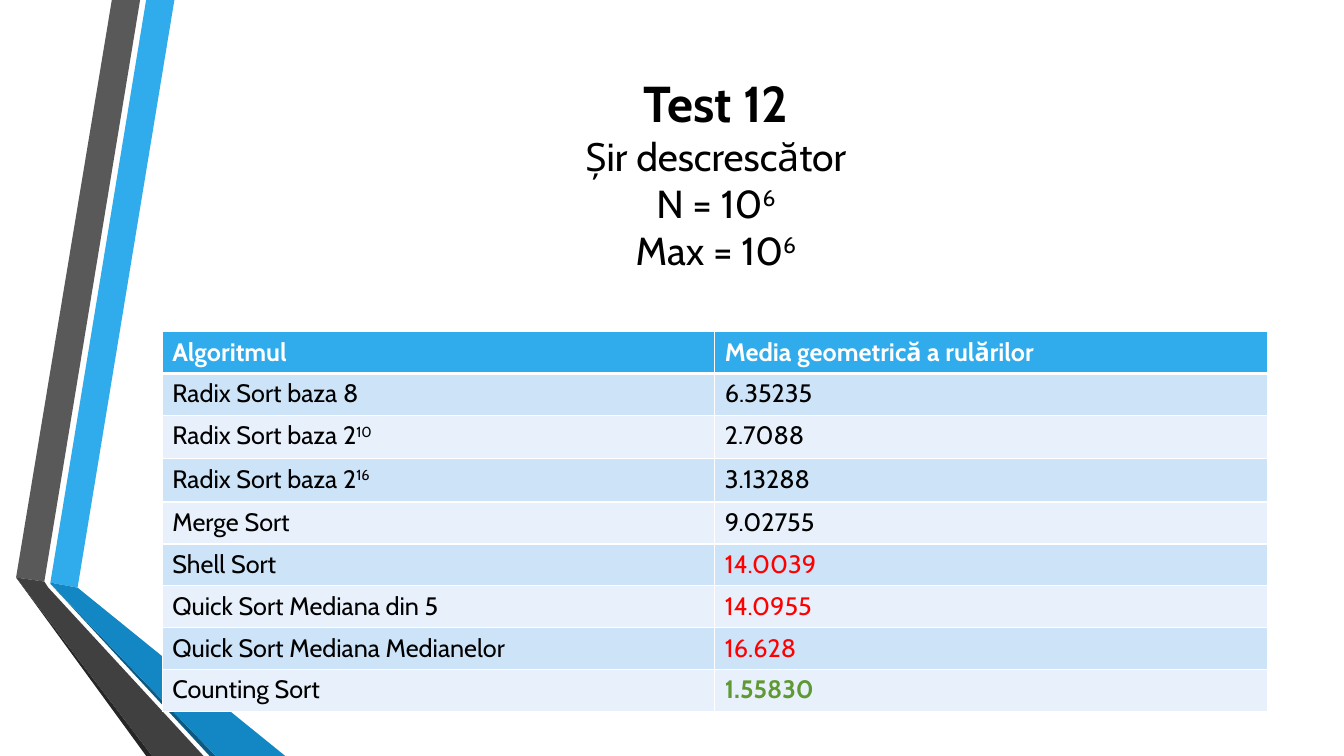
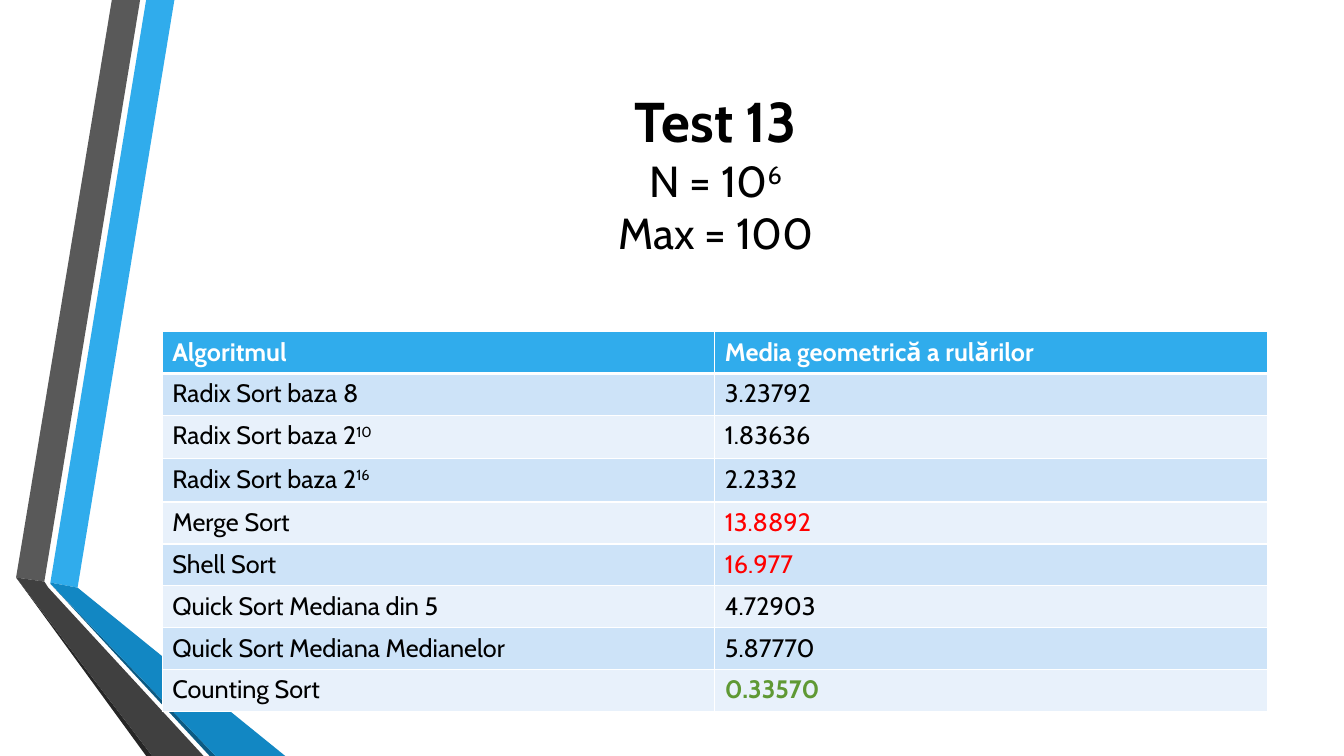
from lxml.etree import SubElement
from pptx import Presentation
from pptx.dml.color import RGBColor
from pptx.enum.text import MSO_ANCHOR, PP_ALIGN
from pptx.oxml.ns import qn
from pptx.util import Inches, Pt

HUES = {
    "ink": "000000", "white": "FFFFFF", "slow": "FF0000", "best": "5F9934",
    "head": "30ACEC", "odd": "CDE3F8", "even": "E8F1FB",
    "sky": "30ACEC", "blue": "1287C3", "navy": "0C5A82",
    "gray": "595959", "dark": "404040", "coal": "262626",
}
BANDS = [
    ("sky", [(0.5, 5.78), (0.77, 5.83), (1.73, 0), (1.45, 0)]),
    ("gray", [(1.39, 0), (1.11, 0), (0.16, 5.73), (0.44, 5.77)]),
    ("coal", [(0.16, 5.73), (1.45, 7.5), (1.51, 7.5)]),
    ("navy", [(0.5, 5.79), (2.08, 7.5), (2.14, 7.5)]),
    ("blue", [(0.5, 5.78), (0.5, 5.79), (2.14, 7.5), (2.83, 7.5), (0.77, 5.83)]),
    ("dark", [(2.02, 7.5), (0.48, 5.83), (0.44, 5.77), (0.16, 5.73), (1.51, 7.5)]),
]
SORTS = [
    "Radix Sort baza 8", "Radix Sort baza 2^10^", "Radix Sort baza 2^16^",
    "Merge Sort", "Shell Sort", "Quick Sort Mediana din 5",
    "Quick Sort Mediana Medianelor", "Counting Sort",
]
TESTS = [
    ("Test 12", ["Șir descrescător", "N = 10^6^", "Max = 10^6^"], 36, 27.9,
     ["6.35235", "2.7088", "3.13288", "9.02755",
      "14.0039", "14.0955", "16.628", "1.55830"]),
    ("Test 13", ["N = 10^6^", "Max = 100"], 40, 31,
     ["3.23792", "1.83636", "2.2332", "13.8892",
      "16.977", "4.72903", "5.87770", "0.33570"]),
]
LIMIT = 10


class Deck:
    face = "Cabin"

    def __init__(self):
        self.file = Presentation()
        self.file.slide_width = Inches(13.33)
        self.file.slide_height = Inches(7.5)

    def hue(self, name):
        return RGBColor.from_string(HUES[name])

    def page(self):
        self.slide = self.file.slides.add_slide(self.file.slide_layouts[6])
        for name, spots in BANDS:
            self.band(name, spots)

    def band(self, name, spots):
        first, *rest = [(Inches(x), Inches(y)) for x, y in spots]
        pen = self.slide.shapes.build_freeform(*first)
        pen.add_line_segments(rest, close=True)
        shape = pen.convert_to_shape()
        shape.shadow.inherit = False
        shape.fill.solid()
        shape.fill.fore_color.rgb = self.hue(name)
        shape.line.fill.background()

    def text(self, para, words, size, hue="ink", bold=False):
        for i, part in enumerate(words.split("^")):
            if part:
                run = para.add_run()
                run.text = part
                if i % 2:
                    run._r.get_or_add_rPr().set("baseline", "30000")
        font = para.font
        font.name = self.face
        font.size = Pt(size)
        font.bold = bold
        font.color.rgb = self.hue(hue)

    def title(self, head, lines, big, small):
        box = self.slide.shapes.add_textbox(
            Inches(1.62), Inches(0.75), Inches(10.96), Inches(1.92))
        frame = box.text_frame
        frame.word_wrap = True
        frame.vertical_anchor = MSO_ANCHOR.MIDDLE
        self.text(frame.paragraphs[0], head, big, bold=True)
        for line in lines:
            self.text(frame.add_paragraph(), line, small)
        for para in frame.paragraphs:
            para.alignment = PP_ALIGN.CENTER

    def edge(self, cell, side, width):
        line = SubElement(cell._tc.get_or_add_tcPr(), qn("a:ln" + side),
                          w=str(Pt(width)))
        fill = SubElement(line, qn("a:solidFill"))
        SubElement(fill, qn("a:srgbClr"), val=HUES["white"])

    def cell(self, cell, row, words, hue, bold):
        for side in "LRTB":
            thick = (row, side) in [(0, "B"), (1, "T")]
            self.edge(cell, side, 3 if thick else 1)
        cell.fill.solid()
        back = "odd" if row % 2 else "even"
        cell.fill.fore_color.rgb = self.hue(back if row else "head")
        self.text(cell.text_frame.paragraphs[0], words, 18, hue, bold)

    def table(self, times):
        high, tall = 3.77, 0.43
        count = len(SORTS) + 1
        powers = sum("^" in name for name in SORTS)
        short = (high - powers * tall) / (count - powers)
        grid = self.slide.shapes.add_table(
            count, 2, Inches(1.61), Inches(3.29),
            Inches(10.96), Inches(high)).table
        names = ["Algoritmul", *SORTS]
        marks = ["Media geometrică a rulărilor", *times]
        best = min(times, key=float)
        for row, (name, mark) in enumerate(zip(names, marks)):
            grid.rows[row].height = Inches(tall if "^" in name else short)
            hue = "ink" if row else "white"
            self.cell(grid.cell(row, 0), row, name, hue, row == 0)
            if row and mark == best:
                hue = "best"
            elif row and float(mark) > LIMIT:
                hue = "slow"
            self.cell(grid.cell(row, 1), row, mark, hue,
                      row == 0 or mark == best)


def main():
    deck = Deck()
    for head, lines, big, small, times in TESTS:
        deck.page()
        deck.title(head, lines, big, small)
        deck.table(times)
    deck.file.save("out.pptx")


if __name__ == "__main__":
    main()
